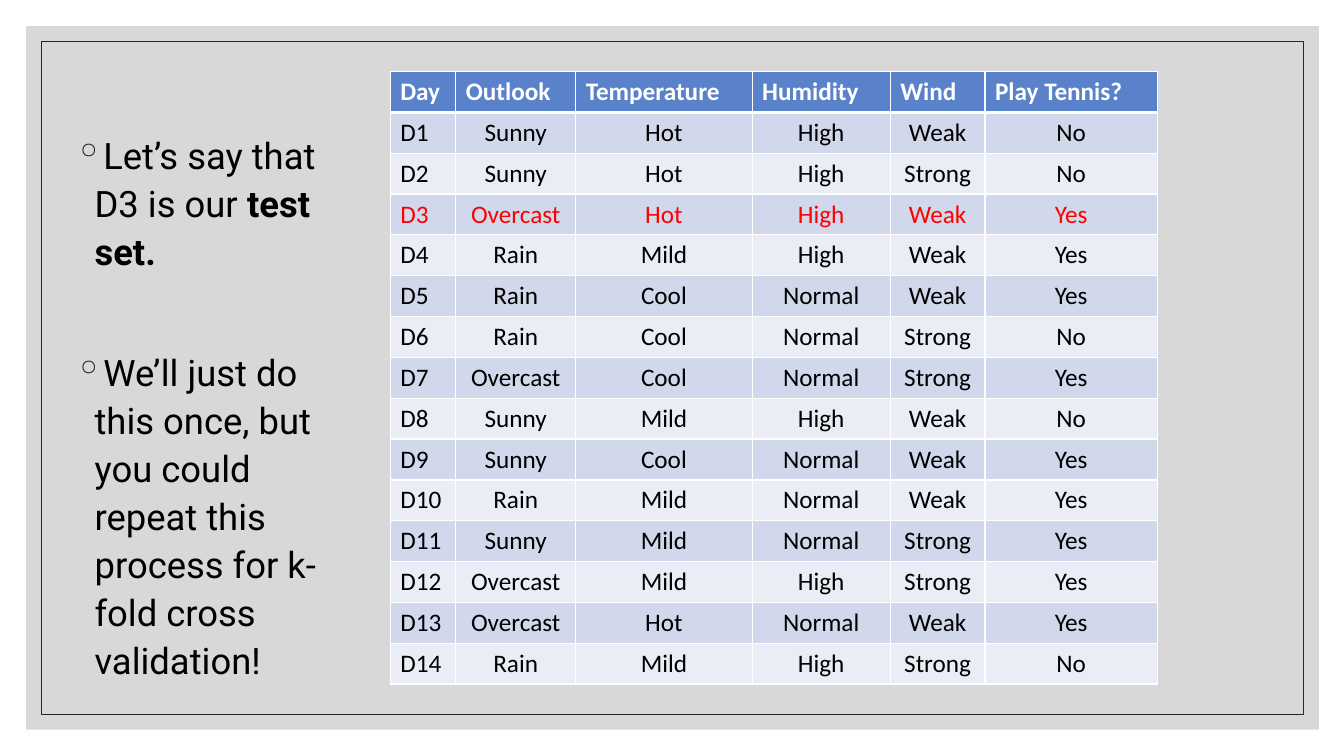
from lxml.etree import SubElement
from pptx import Presentation
from pptx.dml.color import RGBColor
from pptx.enum.shapes import MSO_SHAPE
from pptx.enum.text import PP_ALIGN
from pptx.oxml.ns import qn
from pptx.util import Inches, Pt

COLORS = {
    "panel": "BFBFBF",
    "frame": "262626",
    "text": "000000",
    "header": "5A82CB",
    "odd_row": "D2D8EC",
    "even_row": "EAEDF6",
    "test_row": "FF0000",
    "white": "FFFFFF",
}
HEADERS = ["Day", "Outlook", "Temperature", "Humidity", "Wind", "Play Tennis?"]
COLUMN_WIDTHS = [0.65, 1.19, 1.75, 1.37, 0.94, 1.71]
DAYS = """Sunny Hot High Weak No
Sunny Hot High Strong No
Overcast Hot High Weak Yes
Rain Mild High Weak Yes
Rain Cool Normal Weak Yes
Rain Cool Normal Strong No
Overcast Cool Normal Strong Yes
Sunny Mild High Weak No
Sunny Cool Normal Weak Yes
Rain Mild Normal Weak Yes
Sunny Mild Normal Strong Yes
Overcast Mild High Strong Yes
Overcast Hot Normal Weak Yes
Rain Mild High Strong No"""
TEST_DAY = 3
NOTES = [
    [("Let’s say that D3 is our ", False), ("test set.", True)],
    [("We’ll just do this once, but you could repeat this process "
      "for k-fold cross validation!", False)],
]


def rgb(name):
    return RGBColor.from_string(COLORS[name])


def add_color(parent, tag, name):
    holder = SubElement(parent, qn(tag))
    SubElement(holder, qn("a:srgbClr"), val=COLORS[name])
    return holder


presentation = Presentation()
presentation.slide_width = Inches(13.33)
presentation.slide_height = Inches(7.5)
slide = presentation.slides.add_slide(presentation.slide_layouts[6])

# Translucent grey panel
panel = slide.shapes.add_shape(
    MSO_SHAPE.RECTANGLE, Inches(0.26), Inches(0.26), Inches(12.82), Inches(6.98))
panel.shadow.inherit = False
panel.fill.solid()
panel.fill.fore_color.rgb = rgb("panel")
panel_color = panel.fill._xPr.find(qn("a:solidFill")).find(qn("a:srgbClr"))
SubElement(panel_color, qn("a:alpha"), val="60000")
panel.line.fill.background()

# Thin frame
frame = slide.shapes.add_shape(
    MSO_SHAPE.RECTANGLE, Inches(0.41), Inches(0.41), Inches(12.52), Inches(6.68))
frame.shadow.inherit = False
frame.fill.background()
frame.line.color.rgb = rgb("frame")
frame.line.width = Pt(0.5)

# Bulleted notes
notes_box = slide.shapes.add_textbox(
    Inches(0.64), Inches(1.23), Inches(2.7), Inches(5.81))
text_frame = notes_box.text_frame
text_frame.word_wrap = True
for index, note in enumerate(NOTES):
    paragraph = text_frame.add_paragraph() if index else text_frame.paragraphs[0]
    properties = paragraph._p.get_or_add_pPr()
    properties.set("marL", str(Inches(0.2)))
    properties.set("indent", str(-Inches(0.2)))
    add_color(properties, "a:buClr", "frame")
    SubElement(properties, qn("a:buChar"), char="◦")
    paragraph.line_spacing = 1.1
    if index:
        paragraph.space_before = Pt(52)
    paragraph.font.size = Pt(26)
    paragraph.font.name = "Roboto"
    paragraph.font.color.rgb = rgb("text")
    for text, bold in note:
        run = paragraph.add_run()
        run.text = text
        run.font.bold = bold

# Weather table
rows = [HEADERS]
for number, day in enumerate(DAYS.splitlines(), start=1):
    rows.append([f"D{number}"] + day.split())
table = slide.shapes.add_table(
    len(rows), len(HEADERS),
    Inches(3.87), Inches(0.71), Inches(7.62), Inches(6.08)).table
for column, width in zip(table.columns, COLUMN_WIDTHS):
    column.width = Inches(width)

for row_index, row in enumerate(rows):
    is_header = row_index == 0
    if is_header:
        fill_name, text_name = "header", "white"
    else:
        fill_name = "odd_row" if row_index % 2 else "even_row"
        text_name = "test_row" if row_index == TEST_DAY else "text"
    # The rule under the header is heavier than the rest
    border_widths = {
        "a:lnL": 1,
        "a:lnR": 1,
        "a:lnT": 3 if row_index == 1 else 1,
        "a:lnB": 3 if is_header else 1,
    }
    for column_index, text in enumerate(row):
        cell = table.cell(row_index, column_index)
        cell.text = text
        cell_properties = cell._tc.get_or_add_tcPr()
        for tag, width in border_widths.items():
            border = SubElement(cell_properties, qn(tag), w=str(Pt(width)))
            add_color(border, "a:solidFill", "white")
        cell.fill.solid()
        cell.fill.fore_color.rgb = rgb(fill_name)
        paragraph = cell.text_frame.paragraphs[0]
        if not is_header and column_index:
            paragraph.alignment = PP_ALIGN.CENTER
        paragraph.font.size = Pt(18)
        paragraph.font.name = "Calibri"
        paragraph.font.bold = is_header
        paragraph.font.color.rgb = rgb(text_name)

presentation.save("out.pptx")
